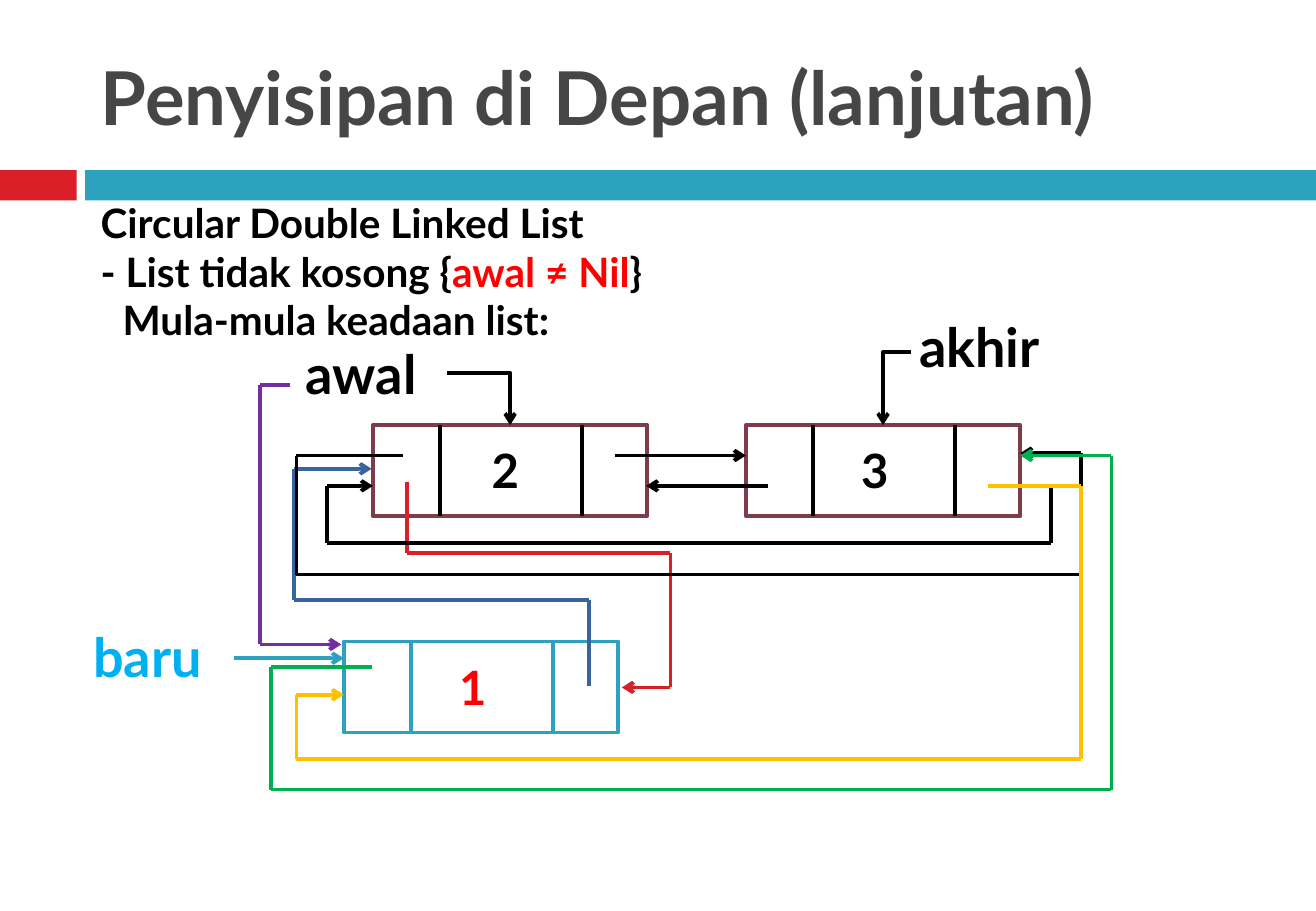
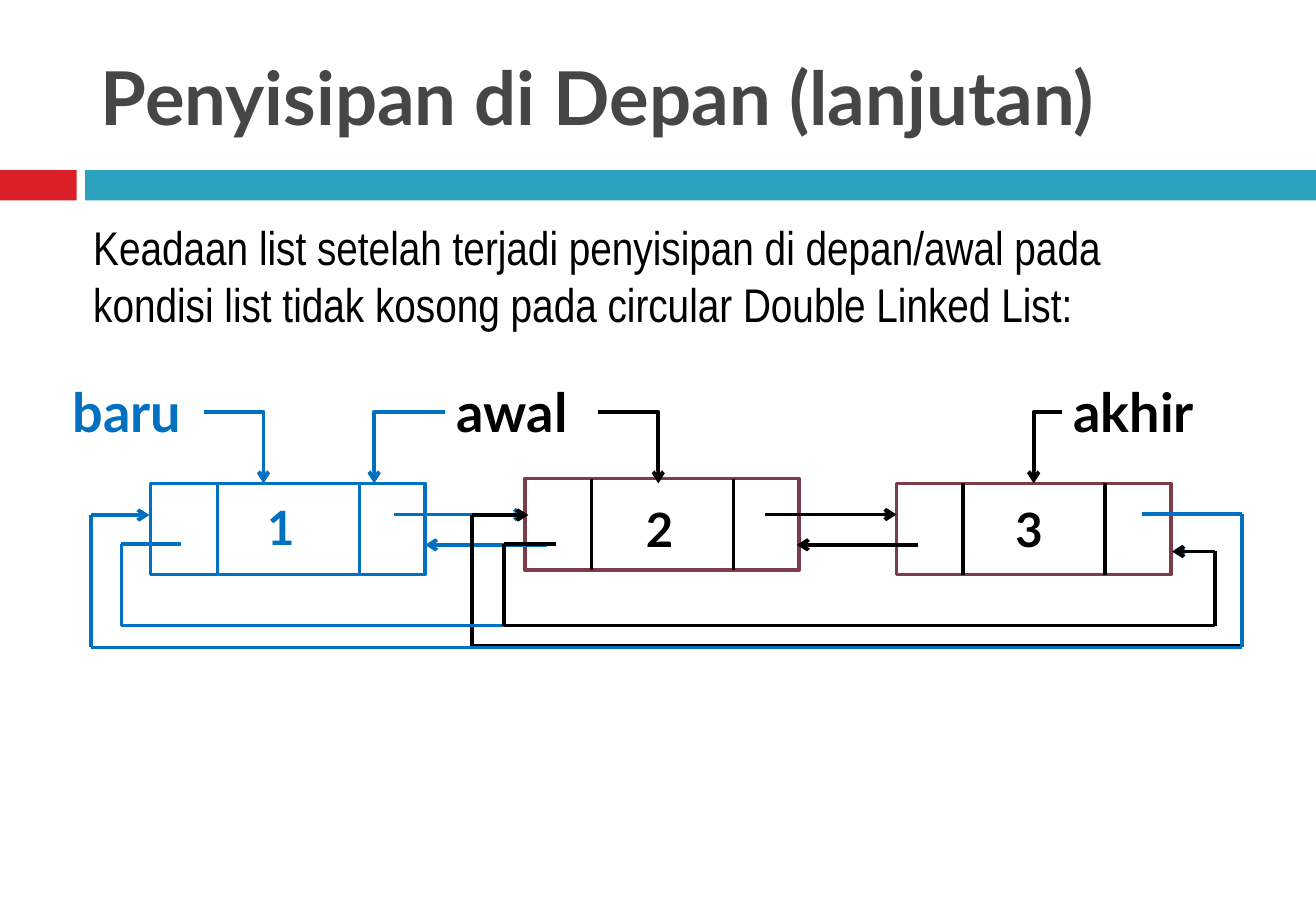
"""Build two slides on inserting at the front of a circular double linked list."""
from itertools import pairwise

from pptx import Presentation
from pptx.dml.color import RGBColor
from pptx.enum.shapes import MSO_CONNECTOR, MSO_SHAPE
from pptx.enum.text import MSO_ANCHOR, PP_ALIGN
from pptx.oxml.ns import qn
from pptx.util import Pt

STRAIGHT, ELBOW = MSO_CONNECTOR.STRAIGHT, MSO_CONNECTOR.ELBOW
RECT = MSO_SHAPE.RECTANGLE
MIDDLE, LEFT = MSO_ANCHOR.MIDDLE, PP_ALIGN.LEFT

BLACK = RGBColor(0x00, 0x00, 0x00)
WHITE = RGBColor(0xFF, 0xFF, 0xFF)
GREY = RGBColor(0x46, 0x46, 0x46)
CRIMSON = RGBColor(0xDA, 0x1F, 0x28)
TEAL = RGBColor(0x2D, 0xA2, 0xBF)
MAROON = RGBColor(0x7D, 0x3C, 0x4A)
RED = RGBColor(0xFF, 0x00, 0x00)
SKY = RGBColor(0x00, 0xB0, 0xF0)
NAVY = RGBColor(0x39, 0x63, 0x9D)
PURPLE = RGBColor(0x70, 0x30, 0xA0)
GREEN = RGBColor(0x00, 0xB0, 0x50)
AMBER = RGBColor(0xFF, 0xC0, 0x00)
BLUE = RGBColor(0x00, 0x70, 0xC0)

LATO, NARROW = "Lato", "Arial Narrow"
TITLE = "Penyisipan di Depan (lanjutan)"
BANDS = [(0, 45.4, CRIMSON), (50.4, 729.6, TEAL)]
BAND_TOP, BAND_H = 100.8, 18
NODE_W, NODE_H = 162.7, 54
DIVIDERS = (39.6, 123.8)
WORD = (91, 46, 32)
DIGIT = (45, 41, 28)

SLIDES = [
    {
        "intro": {
            "box": (52.6, 113.8, 695.5, 120), "font": LATO, "size": 24, "bold": True,
            "paragraphs": [
                (0, [("Circular Double Linked List", BLACK)]),
                (0, [("- List tidak kosong {", BLACK), ("awal ≠ Nil", RED), ("}", BLACK)]),
                (13, [("Mula-mula keadaan list:", BLACK)]),
            ],
        },
        "nodes": {
            "2": (221, 252, MAROON, BLACK),
            "3": (442.1, 252, MAROON, BLACK),
            "1": (203.8, 380.2, TEAL, TEAL),
        },
        "labels": [
            ("awal", 174.2, 198, WORD, BLACK), ("akhir", 537.8, 182.2, WORD, BLACK),
            ("baru", 48.2, 365.8, WORD, SKY), ("2", 284.4, 257.8, DIGIT, BLACK),
            ("3", 503.3, 257.8, DIGIT, BLACK), ("1", 265, 386.6, DIGIT, RED),
        ],
        "elbows": [
            (BLACK, (265, 221), "2"),
            (BLACK, (540, 208.8), "3"),
        ],
        "routes": [
            (BLACK, [(364.3, 270), (442.1, 270)]),
            (BLACK, [(455, 288), (383, 288)]),
            (TEAL, [(139, 390.2), (203.8, 390.2)]),
            (NAVY, [(349.2, 406.8), (349.2, 355.7), (174.2, 355.7), (174.2, 277.9),
                    (220.3, 277.9)]),
            (CRIMSON, [(241.2, 285.8), (241.2, 327.6), (397.4, 327.6), (397.4, 407.5),
                       (368.6, 407.5)]),
            (PURPLE, [(172.1, 228.2), (154.1, 228.2), (154.1, 382), (202.3, 382)]),
            (BLACK, [(585.4, 288), (622.8, 288), (622.8, 321.8), (193.7, 321.8),
                     (193.7, 288), (221, 288)]),
            (BLACK, [(239, 270), (175.7, 270), (175.7, 340.6), (640.8, 340.6),
                     (640.8, 268.6), (604.8, 268.6)]),
            (GREEN, [(220.3, 395.6), (160.6, 395.6), (160.6, 468), (658.8, 468),
                     (658.8, 270), (604.8, 270)]),
            (AMBER, [(585.4, 288), (640.8, 288), (640.8, 450), (175.7, 450),
                     (175.7, 411.8), (203.8, 411.8)]),
        ],
    },
    {
        "intro": {
            "box": (48.2, 126, 648, 75), "font": NARROW, "size": 28, "bold": False,
            "paragraphs": [
                (0, [("Keadaan list setelah terjadi penyisipan di depan/awal pada kondisi "
                      "list tidak kosong pada circular Double Linked List:", BLACK)]),
            ],
        },
        "nodes": {
            "3": (531.4, 286.6, MAROON, BLACK),
            "2": (311, 283.7, MAROON, BLACK),
            "1": (89.3, 286.6, BLUE, BLUE),
        },
        "labels": [
            ("awal", 263.5, 221, WORD, BLACK), ("akhir", 629.3, 221, WORD, BLACK),
            ("baru", 36, 221, WORD, BLUE), ("2", 375.8, 293, DIGIT, BLACK),
            ("3", 594.7, 293, DIGIT, BLACK), ("1", 151.2, 291.6, DIGIT, BLUE),
        ],
        "elbows": [
            (BLACK, (629.3, 244.1), "3"),
            (BLACK, (354.2, 244.1), (390.2, 286.6)),
            (BLUE, (121, 244.1), (156.2, 286.6)),
            (BLUE, (263.5, 244.1), (221.8, 286.6)),
        ],
        "routes": [
            (BLACK, [(453.6, 305), (531.4, 305)]),
            (BLACK, [(544.3, 323), (472.3, 323)]),
            (BLUE, [(324, 323), (252, 323)]),
            (BLUE, [(233.3, 305), (311.8, 305)]),
            (BLACK, [(676.8, 304.6), (736, 304.6), (736, 383), (280, 383),
                     (280, 305.3), (313.2, 305.3)]),
            (BLUE, [(107.3, 322.6), (72, 322.6), (72, 370.8), (720, 370.8),
                    (720, 326.9), (694.8, 326.9)]),
            (BLUE, [(676.8, 304.6), (736, 304.6), (736, 383.8), (54, 383.8),
                    (54, 305.3), (88.6, 305.3)]),
            (BLACK, [(329.8, 322.6), (298.8, 322.6), (298.8, 370.8), (720, 370.8),
                     (720, 326.9), (694.8, 326.9)]),
        ],
    },
]


def place(shape, x, y, w, h):
    shape.left, shape.top, shape.width, shape.height = Pt(x), Pt(y), Pt(w), Pt(h)


def style_run(r, font, size, color, bold=True):
    r.font.name, r.font.size, r.font.bold = font, Pt(size), bold
    r.font.color.rgb = color


def add_text(s, box, paragraphs, font, size, bold=True):
    tf = s.shapes.add_textbox(*map(Pt, box)).text_frame
    tf.word_wrap = True
    for i, (indent, runs) in enumerate(paragraphs):
        p = tf.add_paragraph() if i else tf.paragraphs[0]
        if indent:
            p._p.get_or_add_pPr().set("marL", str(Pt(indent)))
        for text, color in runs:
            r = p.add_run()
            r.text = text
            style_run(r, font, size, color, bold)


def add_box(s, x, y, w, h, fill, line=None):
    sp = s.shapes.add_shape(RECT, Pt(x), Pt(y), Pt(w), Pt(h))
    sp.shadow.inherit = False
    sp.fill.solid()
    sp.fill.fore_color.rgb = fill
    if line is None:
        sp.line.fill.background()
    else:
        sp.line.color.rgb, sp.line.width = line, Pt(2.25)
    return sp


def add_line(s, start, end, color, arrow=False, kind=STRAIGHT):
    c = s.shapes.add_connector(kind, *map(Pt, (*start, *end)))
    c.line.color.rgb, c.line.width = color, Pt(2.25)
    spPr = c._element.spPr
    if arrow:
        ln = spPr.find(qn("a:ln"))
        ln.append(ln.makeelement(qn("a:tailEnd"), {"type": "arrow"}))
    spPr.append(spPr.makeelement(qn("a:effectLst"), {}))
    if kind == ELBOW:
        spPr.find(qn("a:prstGeom")).set("prst", "bentConnector2")
    return c


def add_node(s, x, y, border, divider):
    sp = add_box(s, x, y, NODE_W, NODE_H, WHITE, border)
    for dx in DIVIDERS:
        add_line(s, (x + dx, y), (x + dx, y + NODE_H), divider)
    return sp


def add_base(prs):
    s = prs.slides.add_slide(prs.slide_layouts[5])
    for x, w, color in BANDS:
        add_box(s, x, BAND_TOP, w, BAND_H, color)
    title = s.shapes.title
    place(title, 52.6, 18, 695.5, 77.8)
    tf = title.text_frame
    tf.text = TITLE
    tf.vertical_anchor = MIDDLE
    p = tf.paragraphs[0]
    p.alignment = LEFT
    style_run(p.runs[0], LATO, 44, GREY)
    return s


def add_diagram(s, content):
    intro = content["intro"]
    add_text(s, intro["box"], intro["paragraphs"], intro["font"], intro["size"], intro["bold"])
    nodes = {key: add_node(s, *node) for key, node in content["nodes"].items()}
    for text, x, y, (w, h, size), color in content["labels"]:
        add_text(s, (x, y, w, h), [(0, [(text, color)])], LATO, size)
    for color, start, target in content["elbows"]:
        if target in nodes:
            x, y = content["nodes"][target][:2]
            c = add_line(s, start, (x + NODE_W / 2, y), color, True, ELBOW)
            c.end_connect(nodes[target], 0)
        else:
            add_line(s, start, target, color, True, ELBOW)
    for color, points in content["routes"]:
        for start, end in pairwise(points):
            add_line(s, start, end, color, arrow=end == points[-1])


def main():
    prs = Presentation()
    prs.slide_width, prs.slide_height = Pt(780), Pt(540)
    for content in SLIDES:
        add_diagram(add_base(prs), content)
    prs.save("out.pptx")


if __name__ == "__main__":
    main()
